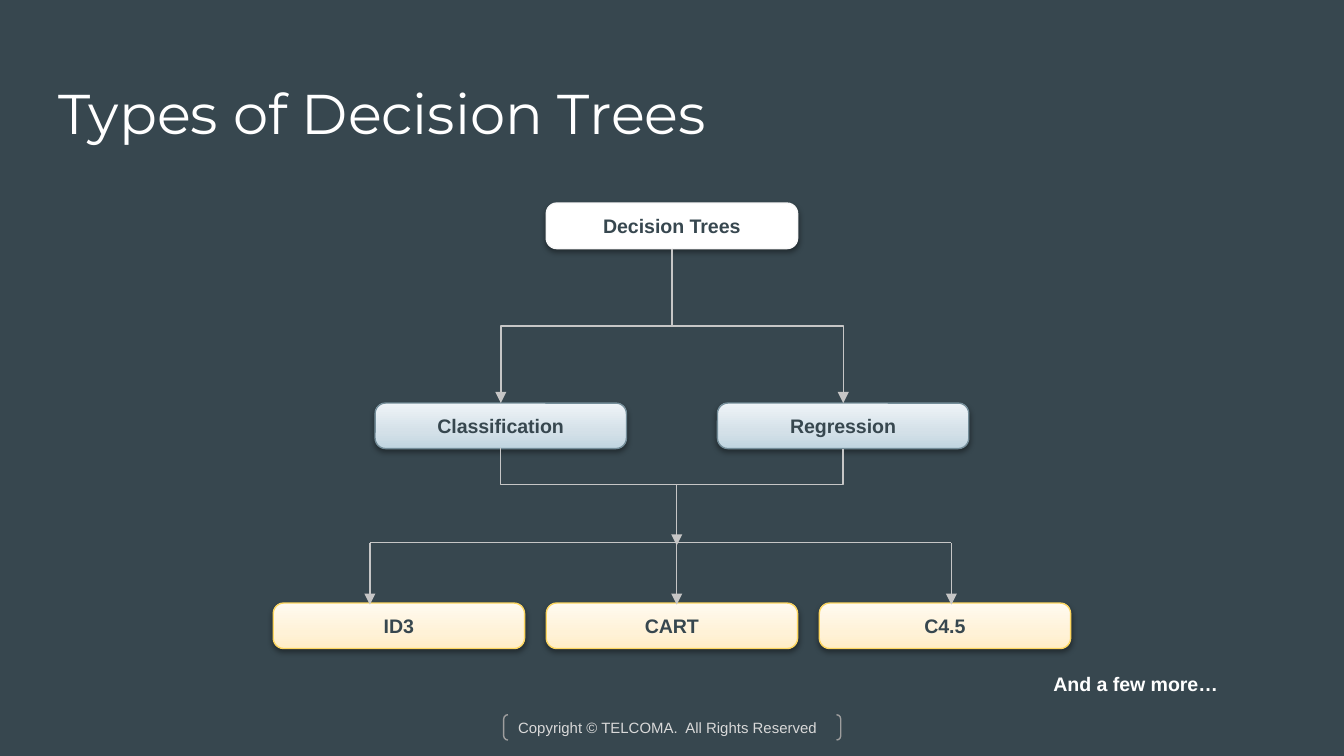
import copy

import pptx
import pptx.dml.color
import pptx.enum.shapes
import pptx.enum.text
import pptx.oxml
import pptx.oxml.ns
import pptx.util
from pptx.util import Cm

COLORS = {
    "background": "37474F",
    "white": "FFFFFF",
    "root line": "F9F9F9",
    "type line": "748D99",
    "algorithm line": "FDD660",
    "connector": "C6C6C6",
    "bracket": "9E9E9E",
    "copyright": "D9D9D9",
}
TYPE_GRADIENT = ["C0D4E0", "D3E0E8", "EEF3F7"]
ALGORITHM_GRADIENT = ["FFEDC6", "FFF2D7", "FFFAF0"]
GRADIENT_POSITIONS = [0, 0.35, 1]

CENTER = 12.7
BOX_WIDTH, BOX_HEIGHT = 4.75, 0.86
ROOT_TOP, TYPE_TOP, ALGORITHM_TOP = 3.84, 7.62, 11.4
TYPE_PITCH, ALGORITHM_PITCH = 6.47, 5.16

SHADOW = (
    '<a:outerShdw xmlns:a="http://schemas.openxmlformats.org/drawingml/2006/main"'
    ' blurRad="39370" dist="20320" dir="5400000" rotWithShape="0">'
    '<a:srgbClr val="000000"><a:alpha val="38000"/></a:srgbClr></a:outerShdw>'
)


def rgb(value):
    return pptx.dml.color.RGBColor.from_string(value)


def set_line(line, color):
    line.color.rgb = rgb(color)
    line.width = pptx.util.Pt(0.75)


def set_text(shape, text, size, color, font="Arial", bold=False, align="LEFT"):
    paragraph = shape.text_frame.paragraphs[0]
    paragraph.text = text
    paragraph.alignment = getattr(pptx.enum.text.PP_ALIGN, align)
    paragraph.font.name = font
    paragraph.font.size = pptx.util.Pt(size)
    paragraph.font.bold = bold
    paragraph.font.color.rgb = rgb(color)


def set_insets(frame, inset):
    frame.margin_left = frame.margin_right = Cm(inset)
    frame.margin_top = frame.margin_bottom = Cm(inset)


def fill_gradient(fill, colors):
    """Fill from bottom to top with three colours."""
    fill.gradient()
    fill.gradient_angle = 90
    stop_list = fill._xPr.find(".//" + pptx.oxml.ns.qn("a:gsLst"))
    stop_list.insert(1, copy.deepcopy(stop_list[0]))
    for stop, color, position in zip(fill.gradient_stops, colors, GRADIENT_POSITIONS):
        stop.color.rgb = rgb(color)
        stop.position = position


def add_box(slide, text, left, top, colors, line_color):
    """Add a rounded node; one colour gives a solid fill, three a gradient."""
    box = slide.shapes.add_shape(
        pptx.enum.shapes.MSO_SHAPE.ROUNDED_RECTANGLE,
        Cm(left), Cm(top), Cm(BOX_WIDTH), Cm(BOX_HEIGHT))
    box.adjustments[0] = 0.23
    if len(colors) == 1:
        box.fill.solid()
        box.fill.fore_color.rgb = rgb(colors[0])
    else:
        fill_gradient(box.fill, colors)
    set_line(box.line, line_color)
    box.shadow.inherit = False
    effects = box._element.spPr.find(pptx.oxml.ns.qn("a:effectLst"))
    effects.append(pptx.oxml.parse_xml(SHADOW))
    box.text_frame.vertical_anchor = pptx.enum.text.MSO_ANCHOR.MIDDLE
    set_text(box, text, 10.5, COLORS["background"], bold=True, align="CENTER")


def add_row(slide, texts, top, pitch, colors, line_color):
    """Add equally spaced boxes centred on the slide."""
    first_left = CENTER - (pitch * (len(texts) - 1) + BOX_WIDTH) / 2
    for index, text in enumerate(texts):
        add_box(slide, text, first_left + index * pitch, top, colors, line_color)


def style_connector(connector, arrow):
    set_line(connector.line, COLORS["connector"])
    properties = connector._element.spPr
    if arrow:
        line = properties.find(pptx.oxml.ns.qn("a:ln"))
        line.makeelement  # tail end goes last inside the line
        pptx.oxml.ns.qn("a:tailEnd")
        tail = line.makeelement(pptx.oxml.ns.qn("a:tailEnd"), {"type": "triangle"})
        line.append(tail)
    properties.append(properties.makeelement(pptx.oxml.ns.qn("a:effectLst"), {}))


def add_line(slide, x1, y1, x2, y2, arrow=True):
    connector = slide.shapes.add_connector(
        pptx.enum.shapes.MSO_CONNECTOR.STRAIGHT, Cm(x1), Cm(y1), Cm(x2), Cm(y2))
    style_connector(connector, arrow)


def add_elbow(slide, x1, y1, x2, y2, drop=None, arrow=True):
    """Add an elbow that leaves downwards and turns after drop (default halfway)."""
    rise, run = y2 - y1, abs(x2 - x1)
    left, top = (x1 + x2 - rise) / 2, (y1 + y2 - run) / 2
    begin_x, end_x = left, left + rise
    rotation = 90
    if x2 > x1:
        begin_x, end_x = end_x, begin_x
        rotation = 270
    connector = slide.shapes.add_connector(
        pptx.enum.shapes.MSO_CONNECTOR.ELBOW,
        Cm(begin_x), Cm(top), Cm(end_x), Cm(top + run))
    properties = connector._element.spPr
    properties.find(pptx.oxml.ns.qn("a:xfrm")).set("rot", str(rotation * 60000))
    if drop is not None:
        guides = properties.find(".//" + pptx.oxml.ns.qn("a:avLst"))
        guides.append(guides.makeelement(
            pptx.oxml.ns.qn("a:gd"),
            {"name": "adj1", "fmla": f"val {round(drop / rise * 100000)}"}))
    style_connector(connector, arrow)


def add_label(slide, text, left, top, width, height, size, wrap=True, inset=None, **style):
    label = slide.shapes.add_textbox(Cm(left), Cm(top), Cm(width), Cm(height))
    label.text_frame.word_wrap = wrap
    if inset is not None:
        set_insets(label.text_frame, inset)
    set_text(label, text, size, COLORS["white"], **style)


def add_copyright(slide):
    bracket = slide.shapes.add_shape(
        pptx.enum.shapes.MSO_SHAPE.DOUBLE_BRACKET,
        Cm(9.52), Cm(13.51), Cm(6.37), Cm(0.48))
    bracket.fill.background()
    set_line(bracket.line, COLORS["bracket"])
    bracket.shadow.inherit = False
    set_insets(bracket.text_frame, 0.25)
    bracket.text_frame.vertical_anchor = pptx.enum.text.MSO_ANCHOR.MIDDLE
    set_text(bracket, "Copyright © TELCOMA.  All Rights Reserved", 8, COLORS["copyright"])


def add_connectors(slide):
    type_centers = [CENTER - TYPE_PITCH / 2, CENTER + TYPE_PITCH / 2]
    for center in type_centers:
        add_elbow(slide, CENTER, ROOT_TOP + BOX_HEIGHT, center, TYPE_TOP)
    add_elbow(slide, type_centers[0], 8.46, type_centers[1], 8.49, drop=0.7, arrow=False)

    bar_y, bar_left, bar_middle, bar_right = 10.26, 6.99, 12.79, 17.98
    add_line(slide, bar_left, bar_y, bar_right, bar_y, arrow=False)
    add_line(slide, bar_middle, 9.16, bar_middle, 10.31)
    for x in (bar_left, bar_middle, bar_right):
        add_line(slide, x, bar_y, x, 11.43)


def main():
    presentation = pptx.Presentation()
    presentation.slide_width = Cm(25.4)
    presentation.slide_height = Cm(14.29)
    slide = presentation.slides.add_slide(presentation.slide_layouts[6])
    slide.background.fill.solid()
    slide.background.fill.fore_color.rgb = rgb(COLORS["background"])

    add_copyright(slide)
    add_label(slide, "Types of Decision Trees", 0.86, 1.24, 23.67, 1.6, 30,
              inset=0.25, font="Montserrat")
    add_row(slide, ["Decision Trees"], ROOT_TOP, 0, [COLORS["white"]], COLORS["root line"])
    add_row(slide, ["Classification", "Regression"], TYPE_TOP, TYPE_PITCH,
            TYPE_GRADIENT, COLORS["type line"])
    add_row(slide, ["ID3", "CART", "C4.5"], ALGORITHM_TOP, ALGORITHM_PITCH,
            ALGORITHM_GRADIENT, COLORS["algorithm line"])
    add_connectors(slide)
    add_label(slide, "And a few more…", 19.66, 12.57, 3.66, 0.71, 10.5,
              wrap=False, bold=True)
    presentation.save("out.pptx")


if __name__ == "__main__":
    main()
